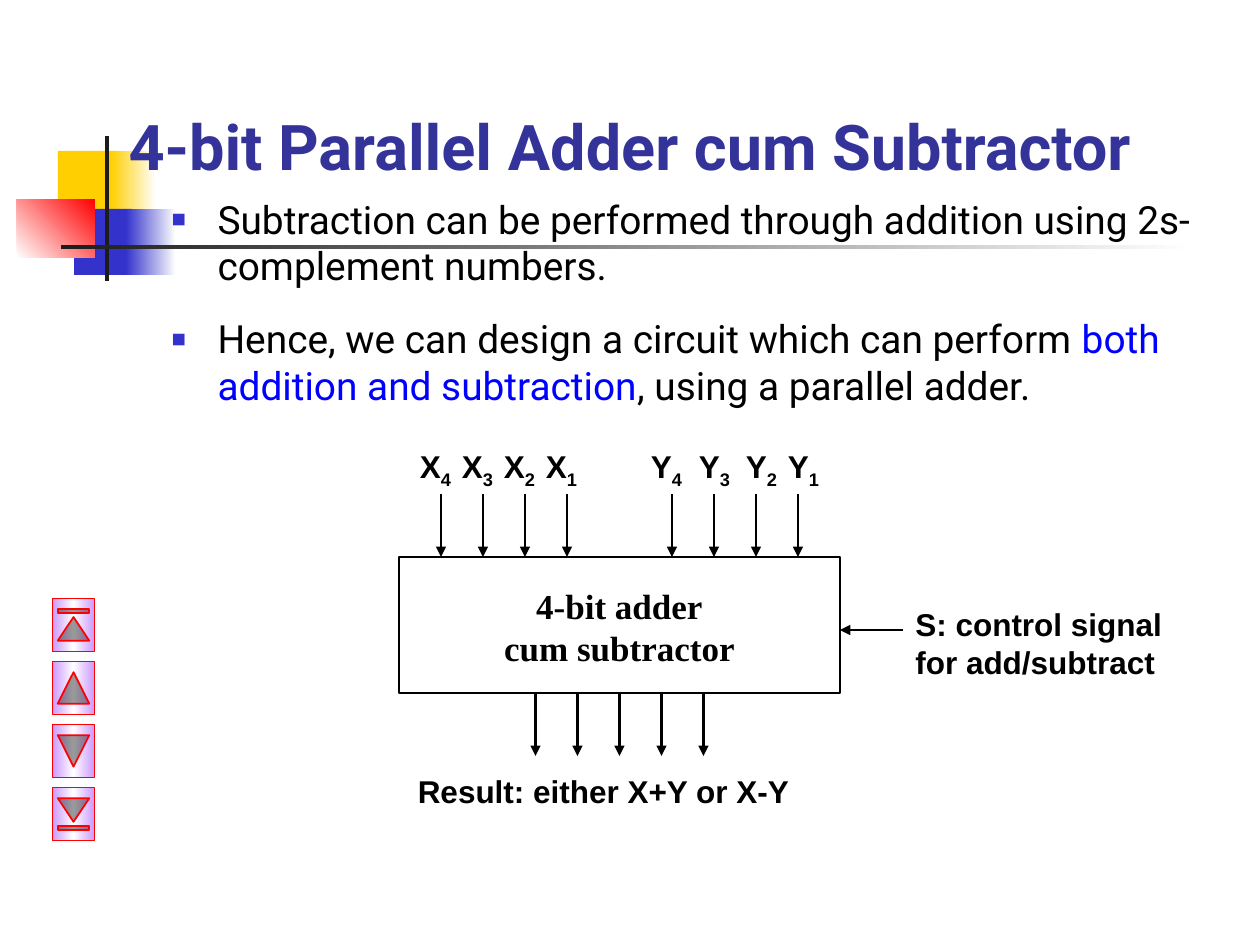
from lxml import etree
from pptx import Presentation
from pptx.dml.color import RGBColor
from pptx.enum.shapes import MSO_CONNECTOR, MSO_SHAPE
from pptx.enum.text import MSO_ANCHOR, MSO_AUTO_SIZE, PP_ALIGN
from pptx.oxml.ns import qn
from pptx.util import Emu, Pt

RECT = MSO_SHAPE.RECTANGLE
STRAIGHT = MSO_CONNECTOR.STRAIGHT
LEFT, CENTER = PP_ALIGN.LEFT, PP_ALIGN.CENTER
TOP, BOTTOM = MSO_ANCHOR.TOP, MSO_ANCHOR.BOTTOM
NO_FIT = MSO_AUTO_SIZE.NONE

# Content
TITLE = "4-bit Parallel Adder cum Subtractor"
BULLETS = [  # space before, runs of (text, colour)
    (6, [("Subtraction can be performed through addition using "
          "2s-complement numbers.", "000000")]),
    (15, [("Hence, we can design a circuit which can perform ", "000000"),
          ("both addition and subtraction", "0000FF"),
          (", using a parallel adder.", "000000")]),
]
ADDER = ["4-bit adder", "cum subtractor"]
CONTROL = "S: control signal for add/subtract"
RESULT = "Result: either X+Y or X-Y"
INPUTS = [  # letter, first arrow x, label lefts for bits 4 to 1
    ("X", 441, (399, 441, 483, 525)),
    ("Y", 672, (630, 678, 725, 767)),
]
OUTPUT_COUNT = 5
DECORATION = [  # box, gradient stops or solid colour, clockwise angle
    ((58, 151, 60, 65), ["FFCF01"], 0),
    ((111, 151, 45, 65), ["FFCF01", "FFFFFF"], 0),
    ((74, 209, 58, 66), ["3333CC"], 0),
    ((126, 209, 50, 66), ["3333CC", "FFFFFF"], 0),
    ((17, 199, 78, 59), ["FFFFFF", "FF0000"], 315),
    ((105, 136, 4, 145), ["1C1C1C"], 0),
    ((61, 245, 1134, 4), ["1C1C1C", "FFFFFF"], 0),
]
BUTTONS = [MSO_SHAPE.ACTION_BUTTON_BEGINNING,
           MSO_SHAPE.ACTION_BUTTON_BACK_OR_PREVIOUS,
           MSO_SHAPE.ACTION_BUTTON_FORWARD_OR_NEXT,
           MSO_SHAPE.ACTION_BUTTON_END]

# Layout in px
PITCH = 42
ARROW = 63
BOX_X, BOX_Y, BOX_W, BOX_H = 399, 557, 441, 136


def px(n):
    return Emu(round(n * 914400 / 126))


def rgb(color):
    return RGBColor.from_string(color)


def place(sp, box):
    sp.left, sp.top, sp.width, sp.height = map(px, box)


def add_run(p, text, size=18, font="Arial", color="000000", bold=True, base=0):
    r = p.add_run()
    r.text = text
    r.font.size, r.font.name, r.font.bold = Pt(size), font, bold
    r.font.color.rgb = rgb(color)
    if base:
        r.font._element.set("baseline", str(base * 1000))
    return r


def add_label(box, lines, align=CENTER, sub="", **fmt):
    tf = shapes.add_textbox(*map(px, box)).text_frame
    tf.word_wrap = True
    for i, line in enumerate(lines):
        p = tf.add_paragraph() if i else tf.paragraphs[0]
        p.alignment = align
        add_run(p, line, **fmt)
        if sub:
            add_run(p, sub, base=-25, **fmt)


def add_block(kind, box, colors=(), angle=0, line=None, weight=1):
    sp = shapes.add_shape(kind, *map(px, box))
    sp.shadow.inherit = False
    if len(colors) > 1:
        sp.fill.gradient()
        sp.fill.gradient_angle = (360 - angle) % 360
        stops = sp._element.spPr.find(".//" + qn("a:gsLst"))
        for stop in list(stops):
            stops.remove(stop)
        for i, color in enumerate(colors):
            gs = etree.SubElement(stops, qn("a:gs"),
                                  pos=str(100000 * i // (len(colors) - 1)))
            etree.SubElement(gs, qn("a:srgbClr"), val=color)
    elif colors:
        sp.fill.solid()
        sp.fill.fore_color.rgb = rgb(colors[0])
    else:
        sp.fill.background()
    if line:
        sp.line.color.rgb = rgb(line)
        sp.line.width = Pt(weight)
    else:
        sp.line.fill.background()
    return sp


def add_arrow(x1, y1, x2, y2):
    c = shapes.add_connector(STRAIGHT, *map(px, (x1, y1, x2, y2)))
    c.line.color.rgb = rgb("000000")
    c.line.width = Pt(1.25)
    etree.SubElement(c.line._get_or_add_ln(), qn("a:tailEnd"), type="triangle")
    etree.SubElement(c._element.spPr, qn("a:effectLst"))
    return c


def add_bullet(p):
    pPr = p._p.get_or_add_pPr()
    pPr.set("marL", str(px(47)))
    pPr.set("indent", str(-px(47)))
    color = etree.SubElement(pPr, qn("a:buClr"))
    etree.SubElement(color, qn("a:srgbClr"), val="3333CC")
    etree.SubElement(pPr, qn("a:buSzPct"), val="120000")
    etree.SubElement(pPr, qn("a:buFont"), typeface="Arial")
    etree.SubElement(pPr, qn("a:buChar"), char="▪")


prs = Presentation()
prs.slide_width, prs.slide_height = px(1260), px(945)
slide = prs.slides.add_slide(prs.slide_layouts[1])
shapes = slide.shapes
title, body = shapes.title, slide.placeholders[1]

# Decoration, kept behind the placeholders
for box, colors, angle in DECORATION:
    add_block(RECT, box, colors, angle)
for ph in (title, body):
    ph._element.getparent().append(ph._element)

# Title
place(title, (116, 32, 1124, 157))
tf = title.text_frame
tf.auto_size, tf.vertical_anchor = NO_FIT, BOTTOM
tf.paragraphs[0].alignment = LEFT
add_run(tf.paragraphs[0], TITLE, size=36, font="Roboto", color="333399")

# Bullets
place(body, (158, 189, 1071, 242))
tf = body.text_frame
tf.auto_size, tf.vertical_anchor = NO_FIT, TOP
for i, (space, runs) in enumerate(BULLETS):
    p = tf.add_paragraph() if i else tf.paragraphs[0]
    add_bullet(p)
    p.space_before = Pt(space if i else 0)
    for text, color in runs:
        add_run(p, text, size=22.2, font="Roboto", color=color, bold=False)

# Adder box
adder = add_block(RECT, (BOX_X, BOX_Y, BOX_W, BOX_H), line="000000", weight=1.5)
add_label((462, 578, 315, 97), ADDER, size=20, font="Times New Roman")

# Inputs
for letter, first_x, lefts in INPUTS:
    for i, left in enumerate(lefts):
        x = first_x + i * PITCH
        add_label((left, 441, 73, 55), [letter], sub=str(4 - i))
        add_arrow(x, BOX_Y - ARROW, x, BOX_Y)

# Control signal
add_arrow(BOX_X + BOX_W + ARROW, 630, BOX_X + BOX_W, 630)
add_label((903, 599, 284, 88), [CONTROL], align=LEFT)

# Outputs, centred under the box
bottom = BOX_Y + BOX_H
for i in range(OUTPUT_COUNT):
    offset = i - OUTPUT_COUNT // 2
    x = BOX_X + BOX_W / 2 + offset * PITCH
    arrow = add_arrow(x, bottom, x, bottom + ARROW)
    if offset == 0:
        arrow.begin_connect(adder, 2)
add_label((378, 766, 451, 50), [RESULT])

# Navigation buttons, turned to point up and down
for i, kind in enumerate(BUTTONS):
    button = add_block(kind, (47, 604 + i * 63, 53, 42),
                       ["CC99FF", "FFFFFF", "CC99FF"], 90, line="FF0000")
    button.rotation = 90

prs.save("out.pptx")
